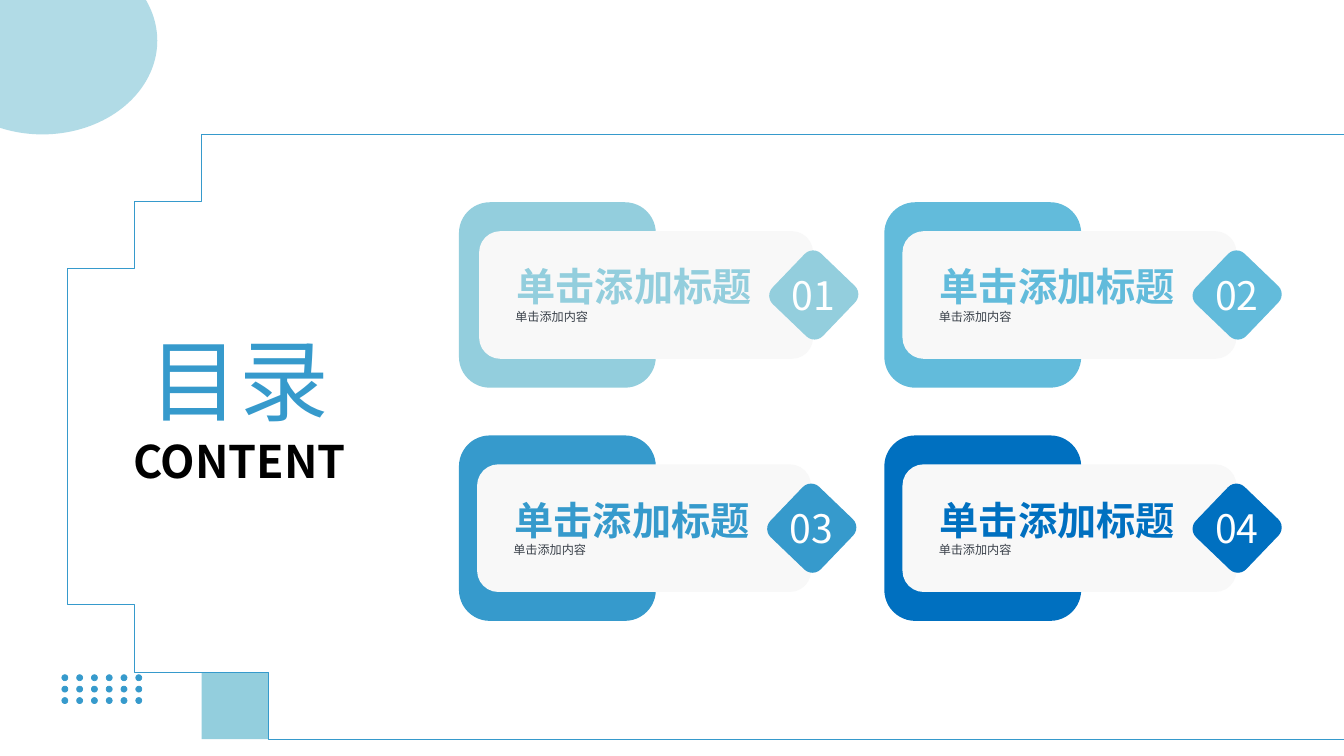
from math import cos, pi, sin

from lxml.etree import SubElement
from pptx import Presentation
from pptx.dml.color import RGBColor
from pptx.enum.shapes import MSO_SHAPE as Preset
from pptx.enum.text import MSO_ANCHOR as Anchor, MSO_AUTO_SIZE as AutoSize, PP_ALIGN as Align
from pptx.oxml.ns import qn
from pptx.util import Inches, Pt

FONT = "Noto Sans CJK SC"
AQUA = RGBColor(0x93, 0xCE, 0xDD)
SKY = RGBColor(0x62, 0xBB, 0xDB)
BLUE = RGBColor(0x36, 0x9A, 0xCC)
DEEP = RGBColor(0x00, 0x70, 0xC0)
PALE = RGBColor(0xF8, 0xF8, 0xF8)
SLATE = RGBColor(0x3B, 0x42, 0x4B)
WHITE = RGBColor(0xFF, 0xFF, 0xFF)
BLACK = RGBColor(0x00, 0x00, 0x00)

# Content: number, heading, body, colour, inset of the panel in its card
TITLE, SUBTITLE = "目录", "CONTENT"
ENTRIES = [
    ("01", "单击添加标题", "单击添加内容", AQUA, 0.30),
    ("02", "单击添加标题", "单击添加内容", SKY, 0.27),
    ("03", "单击添加标题", "单击添加内容", BLUE, 0.27),
    ("04", "单击添加标题", "单击添加内容", DEEP, 0.27),
]

# Grids, in inches
SLIDE_W, SLIDE_H = 20, 11.25
COLUMNS, CARD_X, CARD_Y, PITCH_X, PITCH_Y = 2, 6.83, 3.01, 6.33, 3.47
DOT_COLUMNS, DOT_ROWS, DOT_X, DOT_Y = 6, 3, 0.92, 10.04
DOT_PITCH_X, DOT_PITCH_Y, DOT_SIZE = 0.22, 0.17, 0.09
TITLE_X, TITLE_W = 1.52, 4.09

prs = Presentation()
prs.slide_width, prs.slide_height = Inches(SLIDE_W), Inches(SLIDE_H)
slide = prs.slides.add_slide(prs.slide_layouts[5])
shapes = slide.shapes


def paint(shape, fill, line=None, width=0.75):
    shape.shadow.inherit = False
    shape.fill.solid()
    shape.fill.fore_color.rgb = fill
    if line is None:
        shape.line.fill.background()
    else:
        shape.line.color.rgb = line
        shape.line.width = Pt(width)
    return shape


def add_preset(preset, x, y, w, h, fill, line=None):
    shape = shapes.add_shape(preset, Inches(x), Inches(y), Inches(w), Inches(h))
    return paint(shape, fill, line)


def add_arch(cx, cy, radius, start, ends, fill, line=None):
    """Half circle, counterclockwise from the start angle, closed through the end points."""
    steps = 90
    angles = [start + pi * i / steps for i in range(steps + 1)]
    points = [(cx + radius * cos(a), cy - radius * sin(a)) for a in angles] + ends
    builder = shapes.build_freeform(*points[0], scale=Inches(1))
    builder.add_line_segments(points[1:], close=True)
    return paint(builder.convert_to_shape(), fill, line, 1)


def set_text(box, text, size, color, bold=False, align=Align.CENTER, spacing=1.2):
    frame = box.text_frame
    frame.word_wrap = True
    frame.auto_size = AutoSize.NONE
    frame.vertical_anchor = Anchor.TOP
    frame.margin_left = frame.margin_top = frame.margin_right = frame.margin_bottom = 0
    frame.text = text
    line = frame.paragraphs[0]
    line.alignment = align
    line.line_spacing = Pt(size * spacing)
    line.font.size, line.font.bold, line.font.name = Pt(size), bold, FONT
    line.font.color.rgb = color
    defaults = line._p.find(".//" + qn("a:defRPr"))
    SubElement(defaults, qn("a:ea")).set("typeface", FONT)


def add_text(x, y, w, h, *args, **kwargs):
    set_text(shapes.add_textbox(Inches(x), Inches(y), Inches(w), Inches(h)), *args, **kwargs)


# Lower arch and the outlined frame running off to the right
add_arch(5.98, 11.21, 2.99, 0, [(2.99, SLIDE_H), (8.97, SLIDE_H)], AQUA)
add_arch(5.12, 6.16, 4.45, pi / 2, [(20.11, 10.61), (20.11, 1.71)], WHITE, BLUE)

# Cards
for i, (number, heading, body, color, inset) in enumerate(ENTRIES):
    row, column = divmod(i, COLUMNS)
    x, y = CARD_X + column * PITCH_X, CARD_Y + row * PITCH_Y
    panel_x, panel_y = x + inset, y + 0.43
    add_preset(Preset.ROUNDED_RECTANGLE, x, y, 2.93, 2.76, color)
    add_preset(Preset.ROUNDED_RECTANGLE, panel_x, panel_y, 4.97, 1.9, PALE)
    diamond = add_preset(Preset.ROUNDED_RECTANGLE, panel_x + 4.46, panel_y + 0.43,
                         1.04, 1.04, color)
    diamond.rotation = 43.8
    add_text(panel_x + 4.4, panel_y + 0.6, 1.15, 0.7, number, 42, WHITE)
    add_text(panel_x + 0.54, panel_y + 0.47, 3.53, 0.71, heading, 42, color, bold=True)
    add_text(panel_x + 0.54, panel_y + 1.16, 3.53, 0.22, body, 13, SLATE, align=Align.LEFT)

# Dot grid
for row in range(DOT_ROWS):
    for column in range(DOT_COLUMNS):
        add_preset(Preset.OVAL, DOT_X + column * DOT_PITCH_X, DOT_Y + row * DOT_PITCH_Y,
                   DOT_SIZE, DOT_SIZE, BLUE, BLUE)

# Title, brought in front of the frame, and subtitle
title = shapes.title
title.left, title.top = Inches(TITLE_X), Inches(4.94)
title.width, title.height = Inches(TITLE_W), Inches(1.51)
set_text(title, TITLE, 96, BLUE, spacing=1.125)
title._element.getparent().append(title._element)
add_text(TITLE_X, 6.45, TITLE_W, 0.81, SUBTITLE, 48, BLACK, bold=True)

# Translucent corner ellipse
corner = add_preset(Preset.OVAL, -1.08, -0.79, 3.42, 2.79, AQUA)
tint = corner._element.spPr.find(qn("a:solidFill"))[0]
SubElement(tint, qn("a:alpha")).set("val", "72000")

prs.save("out.pptx")
